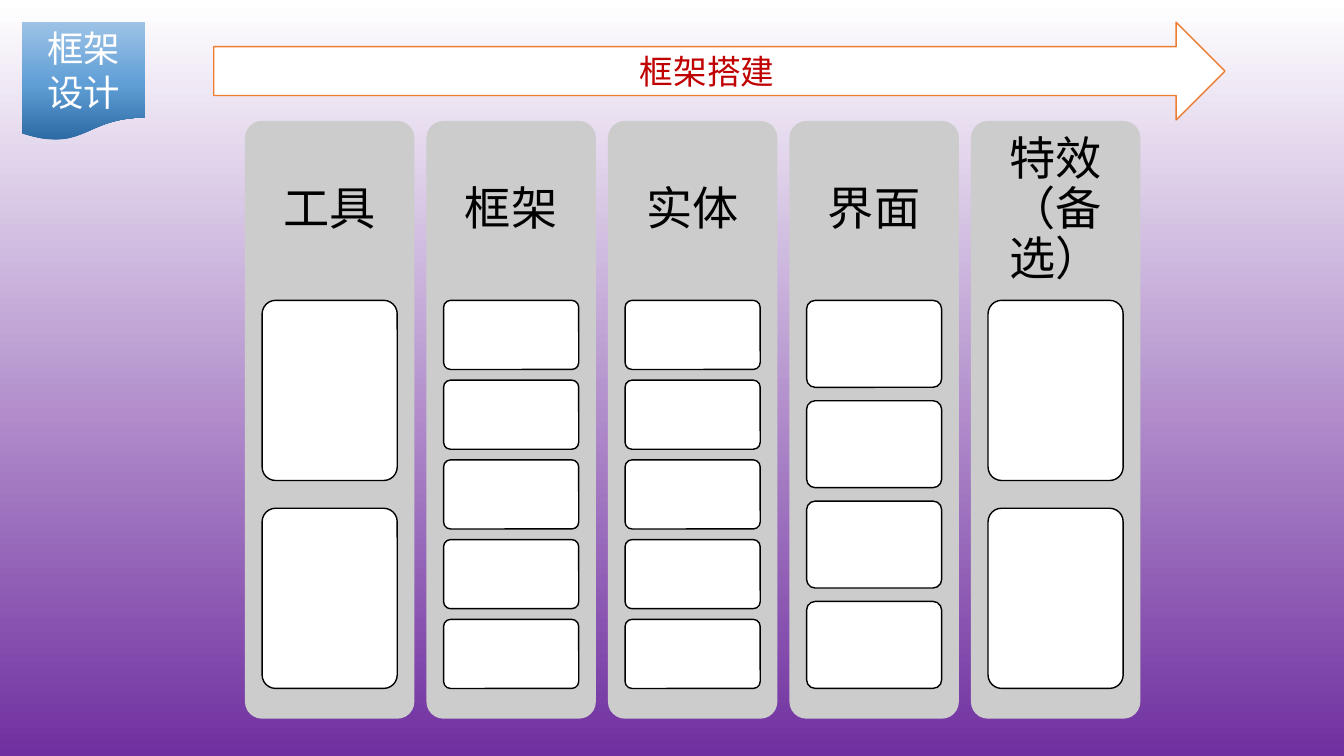
from copy import deepcopy
from dataclasses import dataclass

from pptx import Presentation
from pptx.dml.color import RGBColor
from pptx.dml.fill import FillFormat
from pptx.enum.shapes import MSO_SHAPE as Preset
from pptx.enum.text import MSO_ANCHOR as Anchor, MSO_AUTO_SIZE as AutoSize, PP_ALIGN as Align
from pptx.oxml.ns import qn
from pptx.shapes.autoshape import Shape
from pptx.slide import Slide
from pptx.util import Inches, Pt
from lxml.etree import SubElement

FONT = "Noto Sans CJK SC"
WHITE = RGBColor(0xFF, 0xFF, 0xFF)
BLACK = RGBColor(0x00, 0x00, 0x00)
GREY = RGBColor(0xCC, 0xCC, 0xCC)
RED = RGBColor(0xC0, 0x00, 0x00)
ORANGE = RGBColor(0xED, 0x7D, 0x31)
PURPLE = RGBColor(0x70, 0x30, 0xA0)
DARK_BLUE = RGBColor(0x2A, 0x69, 0xA2)
MID_BLUE = RGBColor(0x60, 0x9E, 0xD6)
LIGHT_BLUE = RGBColor(0x9D, 0xC3, 0xE6)

COLUMN_LEFT, COLUMN_TOP = 2.43, 1.2
COLUMN_WIDTH, COLUMN_HEIGHT, COLUMN_PITCH = 1.68, 5.93, 1.8
HEADING_HEIGHT = 1.78
TILE_WIDTH, TILES_TOP, TILES_HEIGHT = 1.34, 2.98, 3.85
GAP_RATIO = 2 / 13


@dataclass
class Box:
    left: float
    top: float
    width: float
    height: float

    def lengths(self) -> list[int]:
        return [Inches(side) for side in (self.left, self.top, self.width, self.height)]


@dataclass
class Column:
    heading: str
    tiles: int


COLUMNS = [Column("工具", 2), Column("框架", 5), Column("实体", 5),
           Column("界面", 4), Column("特效（备选）", 2)]


def set_gradient(fill: FillFormat, angle: float, stops: list[tuple[float, RGBColor]]) -> None:
    fill.gradient()
    fill.gradient_angle = angle
    first = fill.gradient_stops[0]._gs
    for _ in range(len(stops) - 2):
        first.addnext(deepcopy(first))
    for stop, (position, color) in zip(fill.gradient_stops, stops):
        stop.position = position
        stop.color.rgb = color


def add_box(slide: Slide, preset: Preset, box: Box, fill: RGBColor | None = None,
            line: RGBColor | None = None) -> Shape:
    shape = slide.shapes.add_shape(preset, *box.lengths())
    shape.shadow.inherit = False
    if preset == Preset.ROUNDED_RECTANGLE:
        shape.adjustments[0] = 0.1
    if fill is not None:
        shape.fill.solid()
        shape.fill.fore_color.rgb = fill
    if line is None:
        shape.line.fill.background()
    else:
        shape.line.color.rgb = line
        shape.line.width = Pt(1)
    return shape


def write(shape: Shape, text: str, size: float, color: RGBColor) -> None:
    frame = shape.text_frame
    frame.word_wrap = True
    frame.auto_size = AutoSize.NONE
    frame.vertical_anchor = Anchor.MIDDLE
    paragraph = frame.paragraphs[0]
    paragraph.alignment = Align.CENTER
    run = paragraph.add_run()
    run.text = text
    run.font.size = Pt(size)
    run.font.name = FONT
    run.font.color.rgb = color
    SubElement(run.font._element, qn("a:ea")).set("typeface", FONT)


def add_column(slide: Slide, column: Column, left: float) -> None:
    add_box(slide, Preset.ROUNDED_RECTANGLE,
            Box(left, COLUMN_TOP, COLUMN_WIDTH, COLUMN_HEIGHT), GREY)
    heading = slide.shapes.add_textbox(
        *Box(left, COLUMN_TOP, COLUMN_WIDTH, HEADING_HEIGHT).lengths())
    write(heading, column.heading, 33, BLACK)
    frame = heading.text_frame
    frame.margin_left = frame.margin_right = Inches(0.14)
    frame.margin_top = frame.margin_bottom = Inches(0.14)
    frame.paragraphs[0].line_spacing = 0.9
    height = TILES_HEIGHT / (column.tiles + (column.tiles - 1) * GAP_RATIO)
    tile_left = left + (COLUMN_WIDTH - TILE_WIDTH) / 2
    for index in range(column.tiles):
        top = TILES_TOP + index * height * (1 + GAP_RATIO)
        add_box(slide, Preset.ROUNDED_RECTANGLE,
                Box(tile_left, top, TILE_WIDTH, height), WHITE, BLACK)


def main() -> None:
    presentation = Presentation()
    presentation.slide_width = Inches(13.33)
    presentation.slide_height = Inches(7.5)
    slide = presentation.slides.add_slide(presentation.slide_layouts[5])
    set_gradient(slide.background.fill, 270, [(0, WHITE), (1, PURPLE)])

    flag = add_box(slide, Preset.FLOWCHART_DOCUMENT, Box(0.22, 0.22, 1.22, 1.18))
    set_gradient(flag.fill, 90, [(0, DARK_BLUE), (0.48, MID_BLUE), (1, LIGHT_BLUE)])
    title = slide.shapes.title
    title.left, title.top, title.width, title.height = Box(0.22, 0.22, 1.22, 0.95).lengths()
    write(title, "框架设计", 26, WHITE)
    flag.element.addnext(title.element)

    arrow = add_box(slide, Preset.RIGHT_ARROW, Box(2.12, 0.22, 10.03, 0.97), WHITE, ORANGE)
    write(arrow, "框架搭建", 24, RED)

    for index, column in enumerate(COLUMNS):
        add_column(slide, column, COLUMN_LEFT + index * COLUMN_PITCH)

    presentation.save("out.pptx")


if __name__ == "__main__":
    main()
